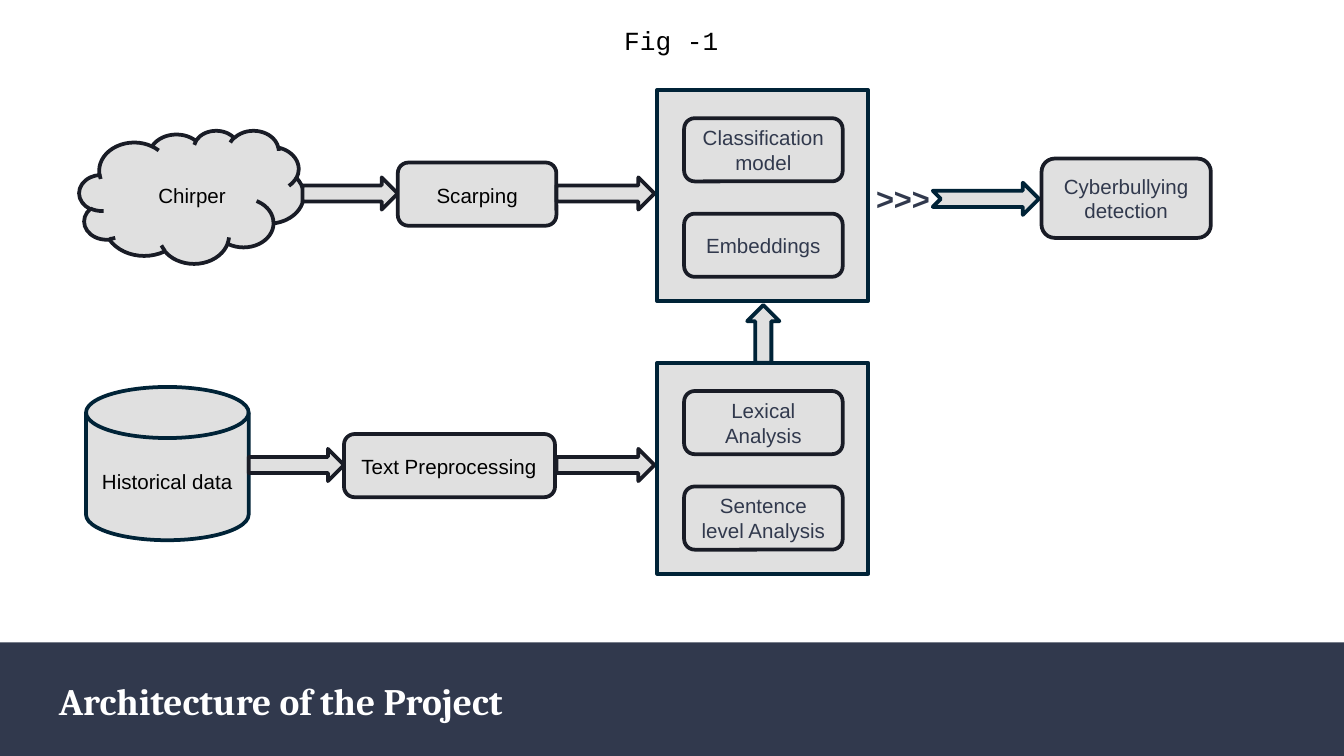
from dataclasses import dataclass

from pptx import Presentation
from pptx.dml.color import RGBColor
from pptx.enum.shapes import MSO_SHAPE
from pptx.enum.text import MSO_ANCHOR, PP_ALIGN
from pptx.util import Inches, Pt

RECT, ROUND = MSO_SHAPE.RECTANGLE, MSO_SHAPE.ROUNDED_RECTANGLE
CLOUD, DISK = MSO_SHAPE.CLOUD, MSO_SHAPE.FLOWCHART_MAGNETIC_DISK
RIGHT, UP = MSO_SHAPE.RIGHT_ARROW, MSO_SHAPE.UP_ARROW
NOTCHED = MSO_SHAPE.NOTCHED_RIGHT_ARROW
LEFT, CENTER = PP_ALIGN.LEFT, PP_ALIGN.CENTER
TOP, MIDDLE = MSO_ANCHOR.TOP, MSO_ANCHOR.MIDDLE


@dataclass(frozen=True)
class Theme:
    navy: str = "31394D"
    ink: str = "191C26"
    teal: str = "002337"
    gray: str = "E0E0E0"
    white: str = "FFFFFF"
    black: str = "000000"
    body: str = "Arial"
    head: str = "Cambria"
    mono: str = "Courier New"
    small: float = 11
    caption: float = 14
    mark: float = 16.5
    title: float = 20
    line: float = 2


THEME = Theme()
STEP_H, ARROW_H = 0.47, 0.24


def write(shape, text, color, size=THEME.small, font=THEME.body, bold=False,
          align=LEFT, anchor=TOP, pad=0.05):
    frame = shape.text_frame
    frame.text = text
    margins = {"margin_left": 0.1, "margin_right": 0.1,
               "margin_top": pad, "margin_bottom": pad}
    for name, value in margins.items():
        setattr(frame, name, Inches(value))
    frame.word_wrap = True
    frame.vertical_anchor = anchor
    style = {"name": font, "size": Pt(size), "bold": bold}
    for para in frame.paragraphs:
        para.alignment = align
        for run in para.runs:
            for name, value in style.items():
                setattr(run.font, name, value)
            run.font.color.rgb = RGBColor.from_string(color)


def label(slide, box, text, color=THEME.black, **style):
    shape = slide.shapes.add_textbox(*map(Inches, box))
    write(shape, text, color, **style)


def block(slide, kind, box, line=THEME.ink, fill=THEME.gray, text=None):
    shape = slide.shapes.add_shape(kind, *map(Inches, box))
    shape.shadow.inherit = False
    shape.fill.solid()
    shape.fill.fore_color.rgb = RGBColor.from_string(fill)
    if line:
        shape.line.color.rgb = RGBColor.from_string(line)
        shape.line.width = Pt(THEME.line)
    else:
        shape.line.fill.background()
    if text:
        write(shape, text, THEME.navy, align=CENTER, anchor=MIDDLE)


def footer(slide, box, text):
    x, y, w, h = box
    block(slide, RECT, box, line=None, fill=THEME.navy)
    label(slide, (x + 0.34, y + 0.18, w - 1.27, 0.5), text, THEME.white,
          size=THEME.title, font=THEME.head, bold=True, anchor=MIDDLE, pad=0.1)


def source(slide, kind, box, line, text, inset):
    """Draw a data source; inset is the label's offset and width."""
    x, y, w, h = box
    dx, dy, wide = inset
    block(slide, kind, box, line)
    label(slide, (x + dx, y + dy, wide, 0.29), text)


def flow(slide, box, step, text, inset):
    """Draw arrow, step, arrow across the box; step is the step's width."""
    x, y, w, h = box
    lead, tail = 0.71, 0.73
    top = y + 0.11
    block(slide, RIGHT, (x, top, lead, ARROW_H))
    block(slide, ROUND, (x + lead, y, step, h))
    block(slide, RIGHT, (x + w - tail, top, tail, ARROW_H))
    dx, wide = inset
    label(slide, (x + lead + dx, y + 0.1, wide, 0.29), text)


def stage(slide, box, names):
    """Draw a panel with its parts stacked inside."""
    x, y, w, h = box
    block(slide, RECT, box, THEME.teal)
    for i, name in enumerate(names):
        block(slide, ROUND, (x + 0.2, y + 0.21 + 0.71 * i, 1.18, STEP_H),
              text=name)


def result(slide, box, text):
    x, y, w, h = box
    block(slide, NOTCHED, (x + 0.52, y + 0.18, 0.79, ARROW_H), THEME.teal)
    label(slide, (x, y + 0.11, 0.7, 0.38), ">>>", THEME.navy,
          size=THEME.mark, bold=True)
    block(slide, ROUND, (x + w - 1.26, y, 1.26, h), text=text)


def main():
    deck = Presentation()
    deck.slide_width = Inches(10)
    deck.slide_height = deck.slide_width * 9 // 16
    slide = deck.slides.add_slide(deck.slide_layouts[6])

    footer(slide, (0, 4.78, 10, 0.85), "Architecture of the Project")
    label(slide, (4.32, 0.08, 1.35, 0.44), "Fig -1", size=THEME.caption,
          font=THEME.mono, align=CENTER, pad=0.1)

    source(slide, CLOUD, (0.59, 0.97, 1.67, 0.99), THEME.ink,
           "Chirper", (0.49, 0.34, 0.76))
    flow(slide, (2.25, 1.21, 2.62, STEP_H), 1.18, "Scarping", (0.19, 0.86))
    source(slide, DISK, (0.64, 2.88, 1.21, 1.14), THEME.teal,
           "Historical data", (0.02, 0.56, 1.21))
    flow(slide, (1.85, 3.23, 3.02, STEP_H), 1.57,
         "Text Preprocessing", (0.03, 1.58))

    stage(slide, (4.89, 0.67, 1.57, 1.57),
          ("Classification model", "Embeddings"))
    stage(slide, (4.89, 2.7, 1.57, 1.57),
          ("Lexical Analysis", "Sentence level Analysis"))
    block(slide, UP, (5.56, 2.27, ARROW_H, 0.43), THEME.teal)
    result(slide, (6.42, 1.18, 2.59, 0.59), "Cyberbullying\ndetection")

    deck.save("out.pptx")


if __name__ == "__main__":
    main()
